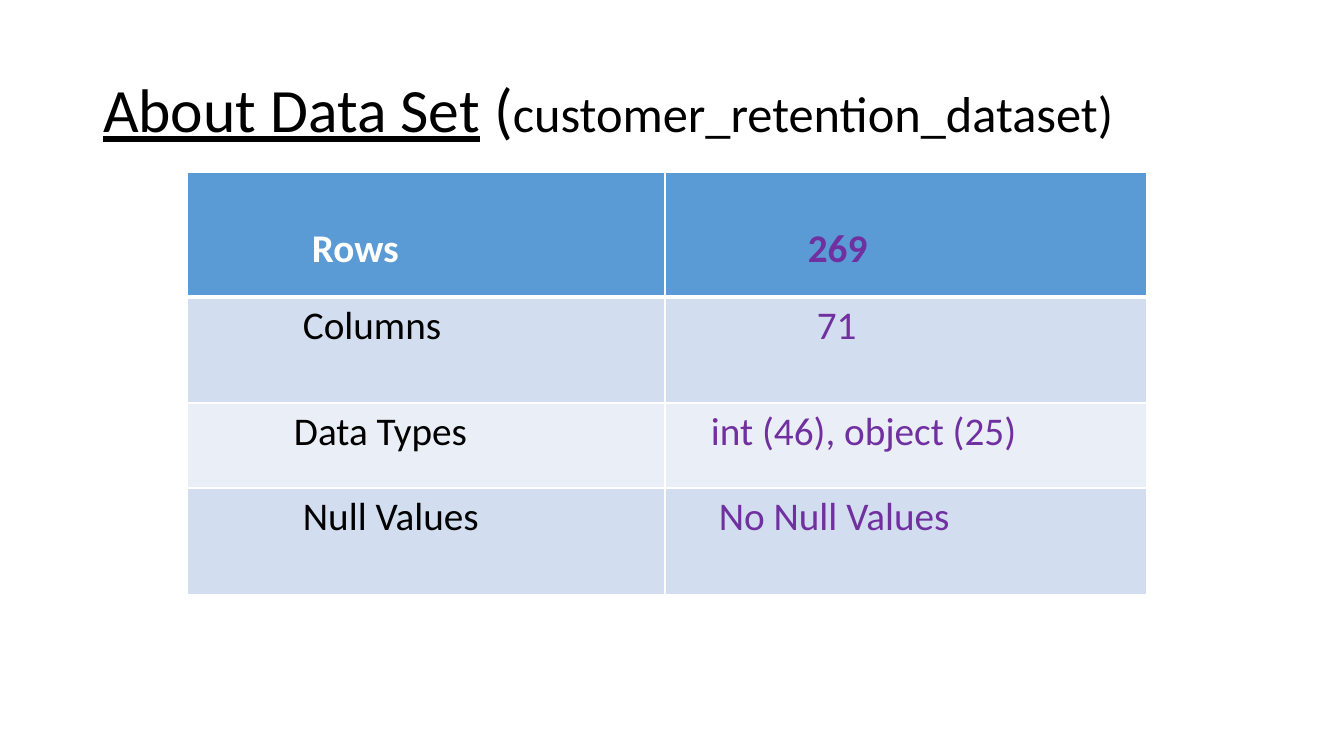
from lxml import etree
from pptx import Presentation
from pptx.dml.color import RGBColor
from pptx.enum.text import MSO_ANCHOR, MSO_AUTO_SIZE, PP_ALIGN
from pptx.oxml.ns import qn
from pptx.util import Emu, Pt

COLORS = {
    "text": "000000",
    "white": "FFFFFF",
    "value": "7030A0",
    "header": "5B9BD5",
    "band_dark": "D2DEEF",
    "band_light": "EAEFF7",
}
FONT = "Calibri"


def px(length):
    return Emu(round(length * 914400 / 100.8))


def add_borders(cell, bottom_width):
    """Draw white 1 pt borders, with a bottom one of the given width in points."""
    properties = cell._tc.get_or_add_tcPr()
    for side, width in (("L", 1), ("R", 1), ("T", 1), ("B", bottom_width)):
        line = etree.SubElement(properties, qn(f"a:ln{side}"), w=str(Pt(width)))
        fill = etree.SubElement(line, qn("a:solidFill"))
        etree.SubElement(fill, qn("a:srgbClr"), val=COLORS["white"])


prs = Presentation()
prs.slide_width, prs.slide_height = px(1344), px(756)
slide = prs.slides.add_slide(prs.slide_layouts[5])

# Title
title = slide.shapes.title
title.left, title.top, title.width, title.height = px(93), px(40), px(1159), px(146)
title.text_frame.auto_size = MSO_AUTO_SIZE.NONE
title.text_frame.vertical_anchor = MSO_ANCHOR.MIDDLE
heading = title.text_frame.paragraphs[0]
heading.alignment = PP_ALIGN.LEFT
heading.line_spacing = 0.9
heading.font.name = FONT
heading.font.color.rgb = RGBColor.from_string(COLORS["text"])
for words, size, underline in (
    ("About Data Set", 44, True),
    (" (", 44, False),
    ("customer_retention_dataset)", 36, False),
):
    run = heading.add_run()
    run.text = words
    run.font.size = Pt(size)
    run.font.underline = underline

# Table: row height, fill, label colour, then (text, left indent) per column
FACTS = [
    (125, "header", "white", ("Rows", 125), ("269", 143)),
    (106, "band_dark", "text", ("Columns", 116), ("71", 152)),
    (85, "band_light", "text", ("Data Types", 107), ("int (46), object (25)", 46)),
    (107, "band_dark", "text", ("Null Values", 116), ("No Null Values", 54)),
]
COLUMN_WIDTHS = (478, 482)

facts_table = slide.shapes.add_table(
    len(FACTS), len(COLUMN_WIDTHS), px(187), px(172),
    px(sum(COLUMN_WIDTHS)), px(sum(fact[0] for fact in FACTS)),
).table
for column, width in zip(facts_table.columns, COLUMN_WIDTHS):
    column.width = px(width)

for row_index, (height, fill, label_color, *entries) in enumerate(FACTS):
    is_header = row_index == 0
    facts_table.rows[row_index].height = px(height)
    for column_index, (words, indent) in enumerate(entries):
        cell = facts_table.cell(row_index, column_index)
        add_borders(cell, bottom_width=3 if is_header else 1)
        cell.fill.solid()
        cell.fill.fore_color.rgb = RGBColor.from_string(COLORS[fill])
        cell.margin_left = px(indent)
        cell.margin_top = px(53 if is_header else 5)
        cell.text = words
        font = cell.text_frame.paragraphs[0].font
        font.name = FONT
        font.size = Pt(28)
        font.bold = is_header
        color = label_color if column_index == 0 else "value"
        font.color.rgb = RGBColor.from_string(COLORS[color])

prs.save("out.pptx")
